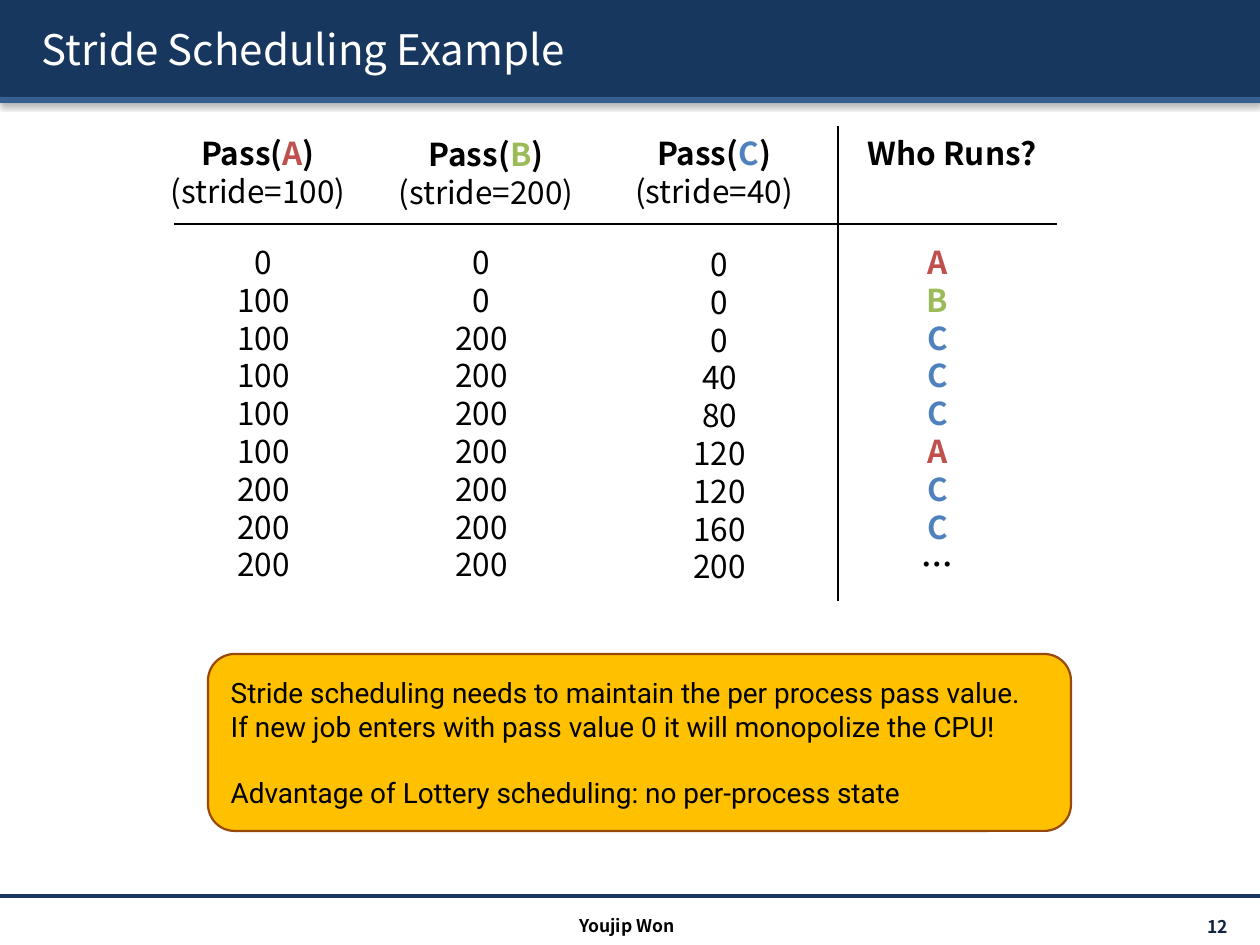
import pptx
import pptx.util
import pptx.dml.color
import pptx.enum.shapes
import pptx.enum.text
import pptx.oxml

PX_PER_INCH = 126
PT_TO_PX = PX_PER_INCH / 72
SANS, CALLOUT_FONT = "Noto Sans CJK KR", "Roboto"
COLORS = {
    "navy": "17375E", "strip": "376092", "number": "0F243E",
    "white": "FFFFFF", "black": "000000", "amber": "FFC000", "brown": "984807",
    "A": "C0504D", "B": "9BBB59", "C": "4F81BD",
}
NS = 'xmlns:a="http://schemas.openxmlformats.org/drawingml/2006/main"'

TITLE = "Stride Scheduling Example"
# process, stride, heading box (left, top), values box (left, top), pass values
PROCESSES = [
    ("A", 100, (154, 125), (184, 234), [0, 100, 100, 100, 100, 100, 200, 200, 200]),
    ("B", 200, (382, 126), (402, 234), [0, 0, 200, 200, 200, 200, 200, 200, 200]),
    ("C", 40, (610, 125), (640, 236), [0, 0, 0, 40, 80, 120, 120, 160, 200]),
]
RUN_ORDER = "ABCCCACC…"
HEADING_SIZE, VALUES_SIZE = (208, 89), (159, 357)
CALLOUT = [
    "Stride scheduling needs to maintain the per process pass value.",
    "If new job enters with pass value 0 it will monopolize the CPU!",
    "Advantage of Lottery scheduling: no per-process state",
]

Align = pptx.enum.text.PP_ALIGN
Anchor = pptx.enum.text.MSO_ANCHOR
Shape = pptx.enum.shapes.MSO_SHAPE


def px(*lengths):
    return [pptx.util.Emu(round(n * 914400 / PX_PER_INCH)) for n in lengths]


def rgb(name):
    return pptx.dml.color.RGBColor.from_string(COLORS[name])


def effects(shadow=""):
    return pptx.oxml.parse_xml(f"<a:effectLst {NS}>{shadow}</a:effectLst>")


def outer_shadow(blur, distance, angle, alpha):
    return (f'<a:outerShdw blurRad="{round(blur * 12700)}" dist="{round(distance * 12700)}" '
            f'dir="{angle * 60000}" algn="t" rotWithShape="0"><a:srgbClr val="000000">'
            f'<a:alpha val="{alpha * 1000}"/></a:srgbClr></a:outerShdw>')


def add_span(para, text, size, color="black", bold=False, font=SANS):
    span = para.add_run()
    span.text = text
    span.font.size = pptx.util.Pt(size)
    span.font.name = font
    span.font.bold = bold
    span.font.color.rgb = rgb(color)
    return span


def add_text(page, box, lines, size, align=Align.CENTER):
    """Each line is a list of (text, color, bold) spans, set at a fixed pitch."""
    frame = page.shapes.add_textbox(*px(*box)).text_frame
    frame.word_wrap = True
    frame.margin_top = px(6 + round(0.1 * size * PT_TO_PX))[0]
    for index, spans in enumerate(lines):
        para = frame.add_paragraph() if index else frame.paragraphs[0]
        para.alignment = align
        para.line_spacing = pptx.util.Pt(round(1.2 * size, 2))
        for text, color, bold in spans:
            add_span(para, text, size, color, bold)
    return frame


def add_line(page, ends, color, width):
    line = page.shapes.add_connector(pptx.enum.shapes.MSO_CONNECTOR.STRAIGHT, *px(*ends))
    line.line.color.rgb = rgb(color)
    line.line.width = pptx.util.Pt(width)
    line.element.spPr.append(effects())


def add_frame(page):
    """Header bars, title and footer."""
    for box, color in (((0, 0, 1260, 97), "navy"), ((0, 97, 1260, 6), "strip")):
        bar = page.shapes.add_shape(Shape.RECTANGLE, *px(*box))
        bar.fill.solid()
        bar.fill.fore_color.rgb = rgb(color)
        bar.line.fill.background()
        bar.element.spPr.append(effects(outer_shadow(3.1, 1.6, 90, 38)))
    add_line(page, (0, 896, 1260, 896), "navy", 2)

    title = page.shapes.title
    page.shapes.element.append(title.element)  # in front of the bars
    title.left, title.top, title.width, title.height = px(29, 8, 1211, 81)
    title.text_frame.vertical_anchor = Anchor.MIDDLE
    para = title.text_frame.paragraphs[0]
    para.alignment = Align.LEFT
    span = add_span(para, TITLE, 24, "white")
    fill = span.font.fill._xPr.find(pptx.oxml.ns.qn("a:solidFill"))
    fill.addnext(effects(outer_shadow(3, 2, 45, 100)))

    number = add_text(page, (1097, 908, 147, 30), [[("12", "number", True)]], 10, Align.RIGHT)
    number.margin_right = px(16)[0]
    add_text(page, (418, 907, 418, 30), [[("Youjip Won", "black", True)]], 10)


def add_schedule(page):
    add_line(page, (174, 224, 1057, 224), "black", 1.5)
    add_line(page, (838, 126, 838, 601), "black", 1.5)
    for name, stride, heading_at, values_at, values in PROCESSES:
        heading = [[("Pass(", "black", True), (name, name, True), (")", "black", True)],
                   [(f"(stride={stride})", "black", False)]]
        add_text(page, heading_at + HEADING_SIZE, heading, 18)
        rows = [[(str(value), "black", False)] for value in values]
        add_text(page, values_at + VALUES_SIZE, rows, 18)
    add_text(page, (848, 125, 208, 50), [[("Who Runs?", "black", True)]], 18)
    rows = [[(name, name if name in COLORS else "black", True)] for name in RUN_ORDER]
    add_text(page, (858, 234) + VALUES_SIZE, rows, 18)


def add_callout(page):
    box = page.shapes.add_shape(Shape.ROUNDED_RECTANGLE, *px(208, 654, 863, 177))
    box.adjustments[0] = 0.15
    box.shadow.inherit = False
    box.fill.solid()
    box.fill.fore_color.rgb = rgb("amber")
    box.line.color.rgb = rgb("brown")
    box.line.width = pptx.util.Pt(1.25)
    frame = box.text_frame
    frame.word_wrap = True
    frame.vertical_anchor = Anchor.MIDDLE
    frame.margin_left = frame.margin_right = px(15)[0]
    for index, text in enumerate(CALLOUT):
        para = frame.add_paragraph() if index else frame.paragraphs[0]
        para.alignment = Align.LEFT
        add_span(para, text, 16, font=CALLOUT_FONT)
    para.space_before = pptx.util.Pt(18.75)


def main():
    deck = pptx.Presentation()
    deck.slide_width, deck.slide_height = px(1260, 945)
    page = deck.slides.add_slide(deck.slide_layouts[5])
    add_frame(page)
    add_schedule(page)
    add_callout(page)
    deck.save("out.pptx")


if __name__ == "__main__":
    main()
